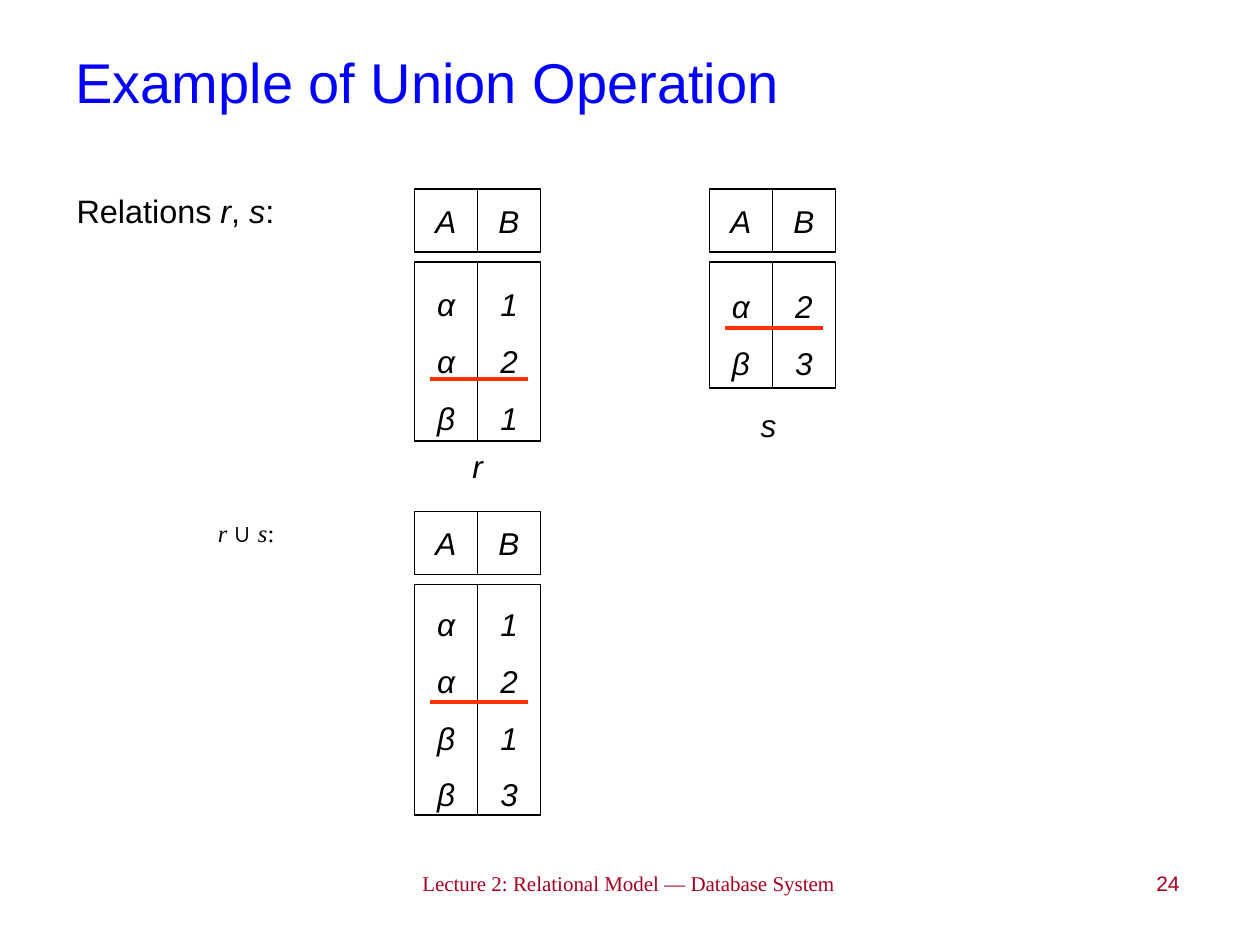
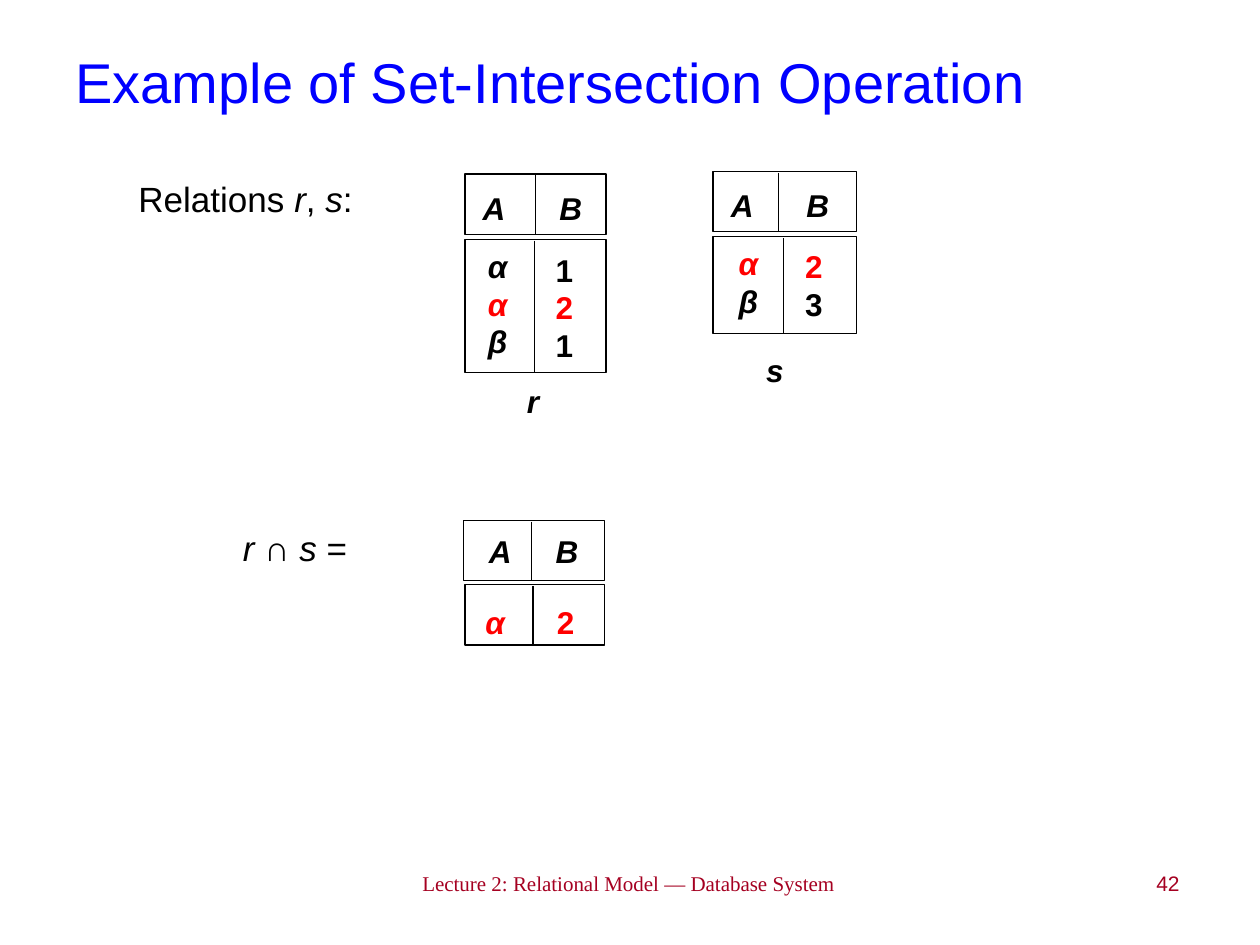
from pptx import Presentation
from pptx.dml.color import RGBColor
from pptx.enum.shapes import MSO_CONNECTOR, MSO_SHAPE
from pptx.enum.text import MSO_ANCHOR as ANCHOR, PP_ALIGN as ALIGN
from pptx.oxml.ns import qn
from pptx.util import Inches, Pt
from lxml import etree

BLACK = RGBColor(0x00, 0x00, 0x00)
WHITE = RGBColor(0xFF, 0xFF, 0xFF)
BLUE = RGBColor(0x00, 0x00, 0xFF)
RED = RGBColor(0xFF, 0x00, 0x00)
ORANGE = RGBColor(0xFF, 0x33, 0x00)
MAROON = RGBColor(0xA5, 0x00, 0x21)
SANS, SERIF = "Arial", "Times New Roman"

FOOTER = "Lecture 2: Relational Model — Database System"
ITALIC = {"italic": True}
RELATIONS = [("Relations ", {}), ("r", ITALIC), (", ", {}), ("s", ITALIC), (":", {})]
HEADS = ("A", "B")

UNION = {
    "title": "Example of Union Operation", "number": 24,
    "labels": [
        (RELATIONS, (0.51, 1.53, 1.91, 0.36), {"size": 18.5, "spacing": 0.8}),
        ([("r ", ITALIC), ("∪ ", {"font": SANS}), ("s", ITALIC), (":", {})],
         (1.63, 4.11, 1.32, 0.36), {"size": 14, "spacing": 0.8, "font": SERIF}),
    ],
    # left, top, body height, columns, underline y
    "tables": [
        (3.29, 1.5, 1.42, ("ααβ", "121"), 3.01),
        (5.63, 1.5, 1.0, ("αβ", "23"), 2.6),
        (3.29, 4.06, 1.83, ("ααββ", "1213"), 5.57),
    ],
    "names": [("r", 3.79, 3.5), ("s", 6.1, 3.17)],
}
INTERSECTION = {
    "title": "Example of Set-Intersection Operation", "number": 42,
    "labels": [
        (RELATIONS, (1, 1.4, 2.2, 0.44), {"size": 20, "spacing": 0.9}),
        ([("r ", ITALIC), ("∩ ", {}), ("s", ITALIC), (" =", {})],
         (1.83, 4.17, 1.38, 0.44), {"size": 20, "spacing": 0.9}),
    ],
    # head and body: box, divider x, text centres, text tops
    "tables": [
        {"head": ((3.69, 1.38, 1.12, 0.48), 4.25, (3.92, 4.53), (1.45, 1.45)),
         "body": ((3.69, 1.9, 1.12, 1.06), 4.24, (3.95, 4.48), (1.91, 1.94)),
         "columns": ("ααβ", "121"), "shared_row": 1},
        {"head": ((5.66, 1.36, 1.14, 0.48), 6.18, (5.89, 6.49), (1.43, 1.43)),
         "body": ((5.66, 1.88, 1.14, 0.77), 6.22, (5.94, 6.46), (1.89, 1.91)),
         "columns": ("αβ", "23"), "shared_row": 0},
        {"head": ((3.68, 4.13, 1.12, 0.48), 4.22, (3.97, 4.5), (4.17, 4.17)),
         "body": ((3.69, 4.64, 1.11, 0.48), 4.23, (3.93, 4.49), (4.74, 4.74)),
         "columns": ("α", "2"), "shared_row": 0},
    ],
    "names": [("r", 4.23, 2.98), ("s", 6.15, 2.74)],
}


def write(tf, paragraphs, size=18, font=SANS, color=BLACK, bold=False, italic=False,
          align=ALIGN.LEFT, anchor=ANCHOR.TOP, spacing=None, wrap=True):
    """Fill a frame; each paragraph is a list of (text, run format)."""
    tf.word_wrap = wrap
    tf.vertical_anchor = anchor
    for i, runs in enumerate(paragraphs):
        p = tf.add_paragraph() if i else tf.paragraphs[0]
        p.alignment = align
        if spacing:
            p.line_spacing = spacing
        for text, fmt in runs:
            r = p.add_run()
            r.text = text
            r.font.size = Pt(size)
            r.font.bold = bold
            r.font.italic = fmt.get("italic", italic)
            r.font.name = fmt.get("font", font)
            r.font.color.rgb = fmt.get("color", color)


def add_text(s, paragraphs, box, **fmt):
    if isinstance(paragraphs, str):
        paragraphs = [[(paragraphs, {})]]
    write(s.shapes.add_textbox(*map(Inches, box)).text_frame, paragraphs, **fmt)


def add_box(s, box):
    sp = s.shapes.add_shape(MSO_SHAPE.RECTANGLE, *map(Inches, box))
    sp.shadow.inherit = False
    sp.fill.solid()
    sp.fill.fore_color.rgb = WHITE
    sp.line.color.rgb = BLACK
    sp.line.width = Pt(0.75)
    return sp


def add_line(s, *ends, color=BLACK, width=0.75):
    line = s.shapes.add_connector(MSO_CONNECTOR.STRAIGHT, *map(Inches, ends))
    line.line.color.rgb = color
    line.line.width = Pt(width)
    etree.SubElement(line._element.spPr, qn("a:effectLst"))


def add_centred(s, paragraphs, x, y, **fmt):
    width, height = 0.4, 0.1 + 0.3 * len(paragraphs)
    add_text(s, paragraphs, (x - width / 2, y, width, height),
             align=ALIGN.CENTER, wrap=False, **fmt)


def add_frame(prs, content):
    """Start a slide with its title, footer, number and labels."""
    s = prs.slides.add_slide(prs.slide_layouts[6])
    add_text(s, FOOTER, (2.28, 6.86, 5.42, 0.45), size=12, font=SERIF,
             color=MAROON, align=ALIGN.CENTER)
    add_text(s, str(content["number"]), (8.04, 6.86, 1.42, 0.44), size=12,
             color=MAROON, align=ALIGN.RIGHT)
    add_text(s, content["title"], (0.5, 0.02, 9, 1.25), size=32, color=BLUE,
             anchor=ANCHOR.MIDDLE)
    for runs, box, fmt in content["labels"]:
        add_text(s, [runs], box, **fmt)
    return s


def add_cell_table(s, left, top, body_height, columns, underline_y):
    """Relation made of one box per heading and per column."""
    cell, gap = 0.5, 0.08
    fmt = dict(italic=True, align=ALIGN.CENTER, anchor=ANCHOR.MIDDLE, wrap=False)
    for i, (head, values) in enumerate(zip(HEADS, columns)):
        x = left + i * cell
        write(add_box(s, (x, top, cell, cell)).text_frame, [[(head, {})]], **fmt)
        body = add_box(s, (x, top + cell + gap, cell, body_height))
        write(body.text_frame, [[(v, {})] for v in values], spacing=1.5, **fmt)
    add_line(s, left + 0.12, underline_y, left + 0.9, underline_y,
             color=ORANGE, width=2.25)


def add_divided_table(s, head, body, columns, shared_row):
    """Relation made of two divided boxes, with the shared row in red."""
    for (box, divider, centres, tops), texts in ((head, HEADS), (body, columns)):
        add_box(s, box)
        add_line(s, divider, box[1] + 0.01, divider, box[1] + box[3])
        for text, x, y in zip(texts, centres, tops):
            rows = [[(v, {"color": RED if texts is columns and i == shared_row else BLACK})]
                    for i, v in enumerate(text)]
            add_centred(s, rows, x, y, bold=True, italic=not text.isdigit())


def main():
    prs = Presentation()
    prs.slide_width, prs.slide_height = Inches(10), Inches(7.5)

    # Union
    s = add_frame(prs, UNION)
    for table in UNION["tables"]:
        add_cell_table(s, *table)
    for name, x, y in UNION["names"]:
        add_centred(s, [[(name, ITALIC)]], x, y)

    # Intersection
    s = add_frame(prs, INTERSECTION)
    for table in INTERSECTION["tables"]:
        add_divided_table(s, **table)
    for name, x, y in INTERSECTION["names"]:
        add_centred(s, [[(name, ITALIC)]], x, y, bold=True)

    prs.save("out.pptx")


if __name__ == "__main__":
    main()
